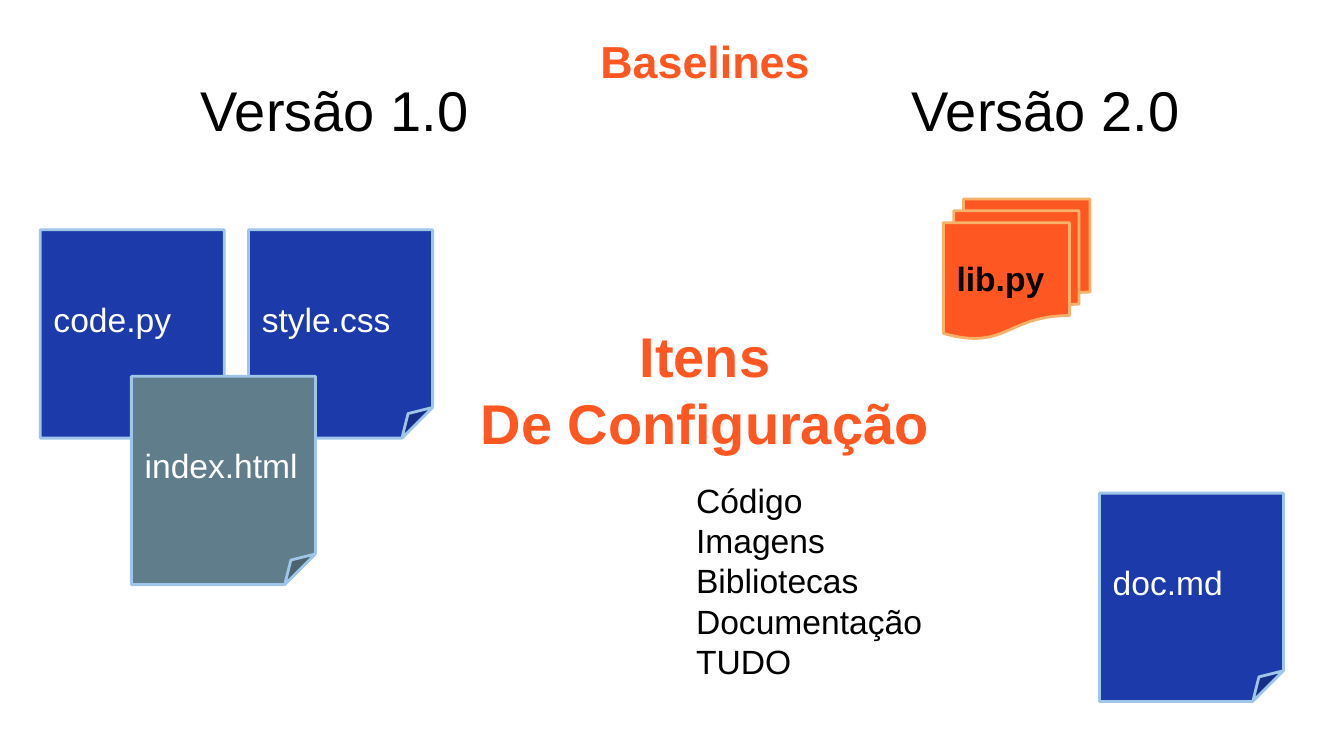
from pptx import Presentation
from pptx.dml.color import RGBColor
from pptx.enum.shapes import MSO_SHAPE as Preset
from pptx.enum.text import MSO_ANCHOR as Anchor, PP_ALIGN as Align
from pptx.util import Pt

BLACK, WHITE, ORANGE = "000000", "FFFFFF", "FF5722"
BLUE, GRAY, SKY, SAND = "1C3AA9", "607D8B", "9FC5E8", "F6B26B"
INSET = 7.2
FILE_SIZE = (98.6, 111.6)

HEADINGS = [
    (["Versão 1.0"], (83.5, 33.1, 191.5, 47.5), 30, BLACK, False),
    (["Versão 2.0"], (464.4, 33.1, 191.5, 47.5), 30, BLACK, False),
    (["Baselines"], (290.9, 10.8, 173.5, 47.5), 24, ORANGE, True),
    (["Itens", "De Configuração"], (244.1, 164.9, 267.1, 75.6), 30, ORANGE, True),
]
FILES = [
    ("code.py", (21.6, 123.1), BLUE),
    ("style.css", (133.2, 123.1), BLUE),
    ("doc.md", (589, 264.2), BLUE),
    ("index.html", (70.4, 201.6), GRAY),
]
LIBRARY = ("lib.py", (505.4, 106.6, 78.5, 74.9))
ITEMS = ["Código", "Imagens", "Bibliotecas", "Documentação", "TUDO"]
ITEMS_BOX = (365.8, 249.8, 145.4, 118.1)


def color(value):
    return RGBColor.from_string(value)


def write(shape, lines, size, ink, bold=False, align=Align.LEFT, anchor=Anchor.TOP):
    frame = shape.text_frame
    frame.word_wrap = True
    frame.vertical_anchor = anchor
    frame.margin_left = frame.margin_right = Pt(INSET)
    frame.margin_top = frame.margin_bottom = Pt(INSET)
    frame.text = "\n".join(lines)
    for paragraph in frame.paragraphs:
        paragraph.alignment = align
        paragraph.font.name = "Arial"
        paragraph.font.size = Pt(size)
        paragraph.font.bold = bold
        paragraph.font.color.rgb = color(ink)


def add_text(slide, lines, box, size, ink, bold=False, align=Align.LEFT):
    shape = slide.shapes.add_textbox(*map(Pt, box))
    write(shape, lines, size, ink, bold, align)


def add_document(slide, preset, name, box, fill, line, ink, bold=False):
    shape = slide.shapes.add_shape(preset, *map(Pt, box))
    shape.shadow.inherit = False
    shape.fill.solid()
    shape.fill.fore_color.rgb = color(fill)
    shape.line.color.rgb = color(line)
    shape.line.width = Pt(1.5)
    write(shape, [name], 18, ink, bold, anchor=Anchor.MIDDLE)


def main():
    presentation = Presentation()
    presentation.slide_width, presentation.slide_height = Pt(720), Pt(405)
    slide = presentation.slides.add_slide(presentation.slide_layouts[6])

    for lines, box, size, ink, bold in HEADINGS:
        add_text(slide, lines, box, size, ink, bold, Align.CENTER)
    for name, corner, fill in FILES:
        add_document(slide, Preset.FOLDED_CORNER, name, corner + FILE_SIZE, fill, SKY, WHITE)
    name, box = LIBRARY
    add_document(slide, Preset.FLOWCHART_MULTIDOCUMENT, name, box, ORANGE, SAND, BLACK, True)
    add_text(slide, ITEMS, ITEMS_BOX, 18, BLACK)

    presentation.save("out.pptx")


if __name__ == "__main__":
    main()
